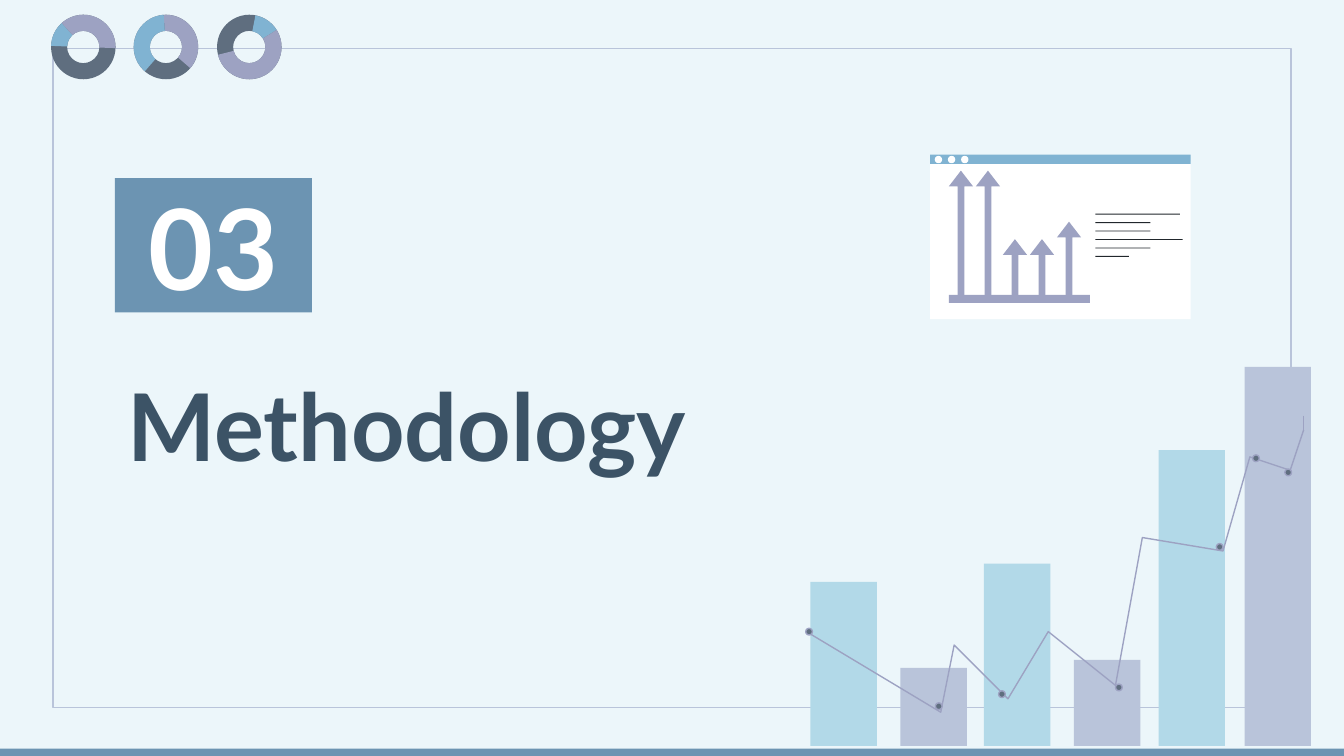
from typing import NamedTuple

from pptx import Presentation
from pptx.dml.color import RGBColor
from pptx.enum.shapes import MSO_SHAPE as Preset
from pptx.enum.text import MSO_ANCHOR as Anchor, PP_ALIGN as Align
from pptx.util import Emu, Inches, Pt

# The grid: square cells, 100 columns by 56.25 rows
COLUMNS, ROWS = 100, 56.25
CELL = Inches(10) / COLUMNS

PALE, STEEL, NAVY, WHITE, INK = "ECF6FA", "6C94B2", "3C5366", "FFFFFF", "21272C"
SLATE, SKY, MAUVE, AQUA, LILAC = "5F6E7F", "80B3D2", "9DA2C2", "B2D9E8", "B9C4DA"


class Box(NamedTuple):
    left: float
    top: float
    width: float
    height: float


class Slice(NamedTuple):
    start: float  # degrees, clockwise from the right
    end: float
    color: str


class Ring(NamedTuple):
    center: float
    slices: tuple[Slice, ...]


class Bar(NamedTuple):
    left: float
    top: float
    color: str


class TrendPoint(NamedTuple):
    column: float
    row: float
    marked: bool


RINGS = (
    Ring(6.2, (Slice(182, 228, SKY), Slice(228, 2, MAUVE))),
    Ring(12.35, (Slice(266, 41, MAUVE), Slice(131, 266, SKY))),
    Ring(18.55, (Slice(281, 328, SKY), Slice(328, 166, MAUVE))),
)
BARS = (
    Bar(60.3, 43.3, AQUA), Bar(67, 49.7, LILAC), Bar(73.2, 41.95, AQUA),
    Bar(79.9, 49.1, LILAC), Bar(86.2, 33.5, AQUA), Bar(92.6, 27.3, LILAC),
)
TREND = (
    TrendPoint(60.2, 47, True), TrendPoint(69.85, 52.55, True),
    TrendPoint(71.3, 47.7, False), TrendPoint(74.55, 51.65, True),
    TrendPoint(77.8, 46.7, False), TrendPoint(83.25, 51.15, True),
    TrendPoint(84.95, 40.3, False), TrendPoint(90.75, 40.7, True),
    TrendPoint(93.45, 34.1, True), TrendPoint(95.85, 35.15, True),
    TrendPoint(97.2, 31.5, False),
)
TREND_TIP = ((97.4, 31.1), (96.85, 31.75), (97.25, 31.9))
ARROW_TOPS = (12.7, 12.7, 17.8, 17.8, 16.5)
TEXT_LINE_WIDTHS = (6.3, 4.1, 4.1, 6.5, 4.1, 2.5)


def cells(count: float) -> Emu:
    return Emu(round(count * CELL))


def rgb(color: str) -> RGBColor:
    return RGBColor.from_string(color)


def paint(shape, fill: str | None, line: str | None = None) -> None:
    shape.shadow.inherit = False
    if fill:
        shape.fill.solid()
        shape.fill.fore_color.rgb = rgb(fill)
    else:
        shape.fill.background()
    if line:
        shape.line.color.rgb = rgb(line)
        shape.line.width = Pt(0.75)
    else:
        shape.line.fill.background()


def add_preset(shapes, preset: Preset, box: Box, fill: str | None,
               line: str | None = None, adjustments: tuple[float, ...] = ()):
    shape = shapes.add_shape(preset, *map(cells, box))
    for index, value in enumerate(adjustments):
        shape.adjustments[index] = value
    paint(shape, fill, line)
    return shape


def add_outline(shapes, points, fill: str | None, line: str, closed: bool) -> None:
    start, *others = points
    builder = shapes.build_freeform(*start, scale=CELL)
    builder.add_line_segments(others, close=closed)
    paint(builder.convert_to_shape(), fill, line)


def write(shape, text: str, size: float, color: str, anchor: Anchor, align: Align) -> None:
    frame = shape.text_frame
    frame.word_wrap = True
    frame.vertical_anchor = anchor
    frame.margin_left = frame.margin_right = cells(1)
    frame.margin_top = frame.margin_bottom = cells(1)
    paragraph = frame.paragraphs[0]
    paragraph.text = text
    paragraph.alignment = align
    font = paragraph.font
    font.name, font.size, font.bold = "Lato", Pt(size), True
    font.color.rgb = rgb(color)


def draw_ring(shapes, ring: Ring) -> None:
    radius, thickness, degree = 2.4, 0.25, 0.6
    box = Box(ring.center - radius, 3.5 - radius, 2 * radius, 2 * radius)
    add_preset(shapes, Preset.DONUT, box, SLATE, adjustments=(thickness,))
    for part in ring.slices:
        add_preset(shapes, Preset.BLOCK_ARC, box, part.color,
                   adjustments=(part.start * degree, part.end * degree, thickness))


def draw_bar_chart(shapes) -> None:
    base, bar_width, dot = 55.5, 4.95, 0.5
    for bar in BARS:
        add_preset(shapes, Preset.RECTANGLE,
                   Box(bar.left, bar.top, bar_width, base - bar.top), bar.color)
    add_outline(shapes, [(point.column, point.row) for point in TREND], None, MAUVE, False)
    for point in TREND:
        if point.marked:
            add_preset(shapes, Preset.OVAL,
                       Box(point.column - dot / 2, point.row - dot / 2, dot, dot), SLATE, MAUVE)
    add_outline(shapes, TREND_TIP, SLATE, MAUVE, True)


def draw_window(shapes) -> None:
    left, width, base = 69.2, 19.4, 21.95
    add_preset(shapes, Preset.RECTANGLE, Box(left, 12, width, 11.75), WHITE)
    add_preset(shapes, Preset.RECTANGLE, Box(left, 11.5, width, 0.7), SKY)
    for index in range(3):
        add_preset(shapes, Preset.OVAL, Box(69.55 + index * 0.98, 11.6, 0.55, 0.55), WHITE)
    # Arrows on their base line
    for index, top in enumerate(ARROW_TOPS):
        add_preset(shapes, Preset.UP_ARROW, Box(70.6 + index * 2.01, top, 1.8, base - top),
                   MAUVE, adjustments=(0.28, 0.65))
    add_preset(shapes, Preset.RECTANGLE, Box(70.6, base, 10.5, 0.6), MAUVE)
    # Lines of sketched text
    for index, line_width in enumerate(TEXT_LINE_WIDTHS):
        add_preset(shapes, Preset.RECTANGLE,
                   Box(81.5, 15.9 + index * 0.63, line_width, 0.07), INK)


def main() -> None:
    presentation = Presentation()
    presentation.slide_width = cells(COLUMNS)
    presentation.slide_height = cells(ROWS)
    slide = presentation.slides.add_slide(presentation.slide_layouts[6])
    slide.background.fill.solid()
    slide.background.fill.fore_color.rgb = rgb(PALE)
    shapes = slide.shapes

    # Footer band, frame and rings
    add_preset(shapes, Preset.RECTANGLE, Box(0, 55.7, COLUMNS, ROWS - 55.7), STEEL)
    add_preset(shapes, Preset.RECTANGLE, Box(3.95, 3.6, 92.1, 49.05), None, LILAC)
    rings = shapes.add_group_shape().shapes
    for ring in RINGS:
        draw_ring(rings, ring)

    # Section title and number
    title = shapes.add_textbox(*map(cells, Box(8.5, 24.4, 81.1, 12.3)))
    write(title, "Methodology", 50, NAVY, Anchor.BOTTOM, Align.LEFT)
    number = add_preset(shapes, Preset.RECTANGLE, Box(8.55, 13.25, 14.65, 10), STEEL)
    write(number, "03", 60, WHITE, Anchor.MIDDLE, Align.CENTER)

    # Illustrations
    draw_bar_chart(shapes.add_group_shape().shapes)
    draw_window(shapes.add_group_shape().shapes)
    presentation.save("out.pptx")


if __name__ == "__main__":
    main()
